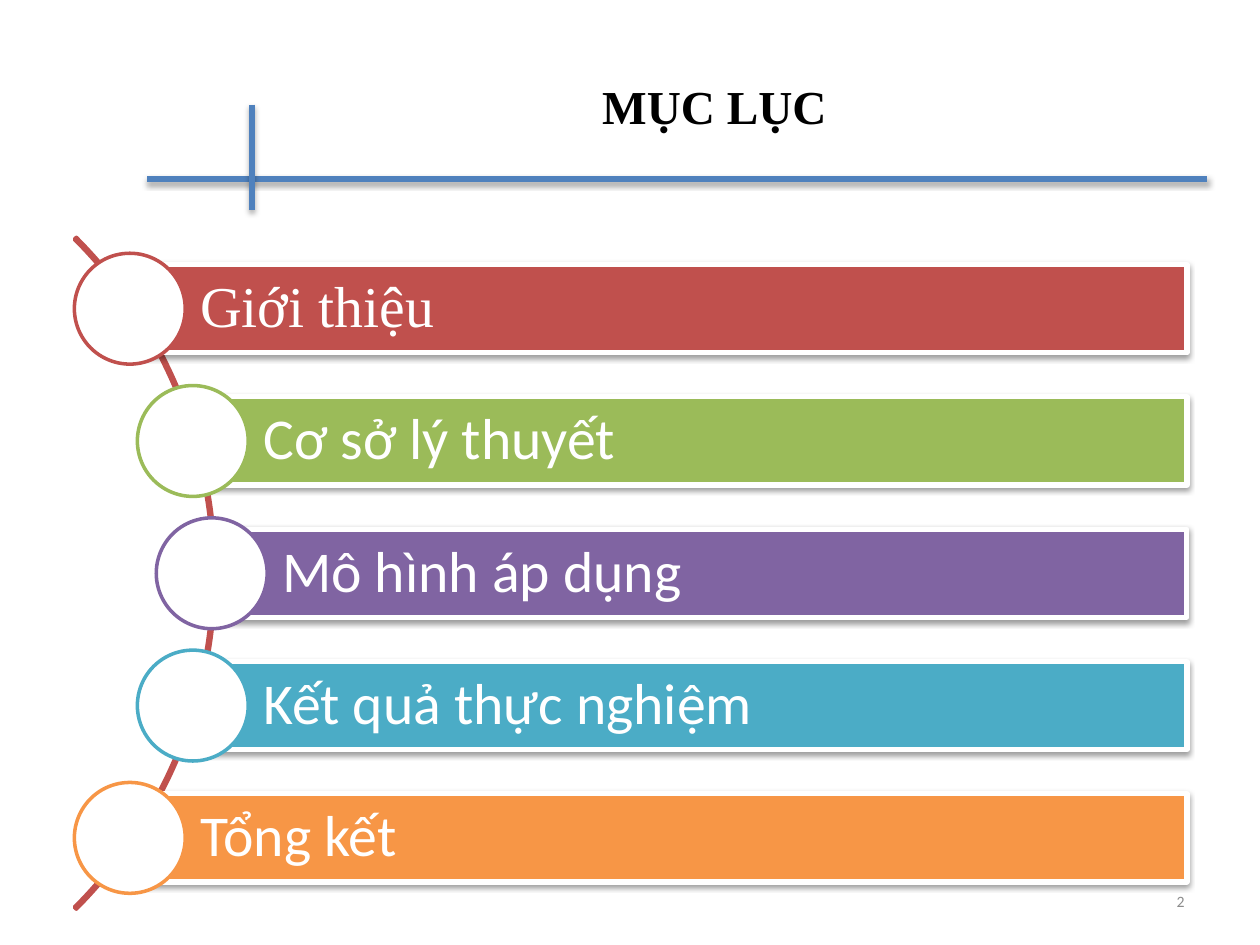
from lxml.etree import SubElement
from pptx import Presentation
from pptx.dml.color import RGBColor
from pptx.enum.shapes import MSO_CONNECTOR, MSO_SHAPE
from pptx.enum.text import MSO_ANCHOR, PP_ALIGN
from pptx.oxml.ns import qn
from pptx.util import Inches, Pt

THEME = {
    "blue": RGBColor(0x4F, 0x81, 0xBD),
    "red": RGBColor(0xC0, 0x50, 0x4D),
    "green": RGBColor(0x9B, 0xBB, 0x59),
    "purple": RGBColor(0x80, 0x64, 0xA2),
    "teal": RGBColor(0x4B, 0xAC, 0xC6),
    "orange": RGBColor(0xF7, 0x96, 0x46),
    "white": RGBColor(0xFF, 0xFF, 0xFF),
    "black": RGBColor(0, 0, 0),
    "gray": RGBColor(0x8C, 0x8C, 0x8C),
    "serif": "Times New Roman",
    "sans": "Calibri",
    "title": Pt(27),
    "item": Pt(33),
    "number": Pt(9),
}


def add_shadow(shape, alpha, distance):
    effects = SubElement(shape._element.spPr, qn("a:effectLst"))
    shadow = SubElement(effects, qn("a:outerShdw"), blurRad=str(Pt(3.1)),
                        dist=str(Pt(distance)), dir="5400000", rotWithShape="0")
    color = SubElement(shadow, qn("a:srgbClr"), val="000000")
    SubElement(color, qn("a:alpha"), val=str(alpha * 1000))


def set_text(shape, text, size, font, color, align, bold=False):
    tf = shape.text_frame
    tf.word_wrap = True
    tf.vertical_anchor = MSO_ANCHOR.MIDDLE
    p = tf.paragraphs[0]
    p.text = text
    p.alignment = align
    p.font.size = THEME[size]
    p.font.name = THEME[font]
    p.font.color.rgb = THEME[color]
    p.font.bold = bold
    return tf


prs = Presentation()
prs.slide_width = Inches(10)
prs.slide_height = Inches(7.5)
s = prs.slides.add_slide(prs.slide_layouts[6])

for ends in [(1.17, 1.42, 9.58, 1.42), (2, 0.83, 2, 1.67)]:
    line = s.shapes.add_connector(MSO_CONNECTOR.STRAIGHT, *map(Inches, ends))
    line.line.color.rgb = THEME["blue"]
    line.line.width = Pt(3)
    add_shadow(line, 35, 1.8)

title = s.shapes.add_textbox(Inches(1.17), Inches(0.21), Inches(9), Inches(1.25))
set_text(title, "MỤC LỤC", "title", "serif", "black", PP_ALIGN.CENTER, bold=True)

arc = s.shapes.add_shape(MSO_SHAPE.BLOCK_ARC, Inches(-5.83), Inches(0.78),
                         Inches(7.54), Inches(7.54))
arc.adjustments[0] = 189
arc.adjustments[1] = 27
arc.adjustments[2] = 0.003
arc.fill.background()
arc.line.color.rgb = THEME["red"]
arc.line.width = Pt(2)
arc.shadow.inherit = False

items = [
    ("Giới thiệu", "red", "serif", 1.03),
    ("Cơ sở lý thuyết", "green", "sans", 1.53),
    ("Mô hình áp dụng", "purple", "sans", 1.68),
    ("Kết quả thực nghiệm", "teal", "sans", 1.53),
    ("Tổng kết", "orange", "sans", 1.03),
]
bar_right, bar_height, circle_size = 9.42, 0.7, 0.88

for i, (text, color, font, left) in enumerate(items):
    top = 2.1 + 1.05 * i
    bar = s.shapes.add_shape(MSO_SHAPE.RECTANGLE, Inches(left), Inches(top),
                             Inches(bar_right - left), Inches(bar_height))
    bar.fill.solid()
    bar.fill.fore_color.rgb = THEME[color]
    bar.line.color.rgb = THEME["white"]
    bar.line.width = Pt(3)
    add_shadow(bar, 38, 1.6)
    tf = set_text(bar, text, "item", font, "white", PP_ALIGN.LEFT)
    tf.margin_left = Inches(0.56)
    tf.margin_right = tf.margin_top = tf.margin_bottom = Inches(0.09)
    tf.paragraphs[0].line_spacing = 0.9

    circle = s.shapes.add_shape(
        MSO_SHAPE.OVAL, Inches(left - circle_size / 2),
        Inches(top + (bar_height - circle_size) / 2),
        Inches(circle_size), Inches(circle_size))
    circle.fill.solid()
    circle.fill.fore_color.rgb = THEME["white"]
    circle.line.color.rgb = THEME[color]
    circle.line.width = Pt(2)
    circle.shadow.inherit = False

number = s.shapes.add_textbox(Inches(7.17), Inches(6.95), Inches(2.33), Inches(0.4))
set_text(number, "2", "number", "sans", "gray", PP_ALIGN.RIGHT)

prs.save("out.pptx")
